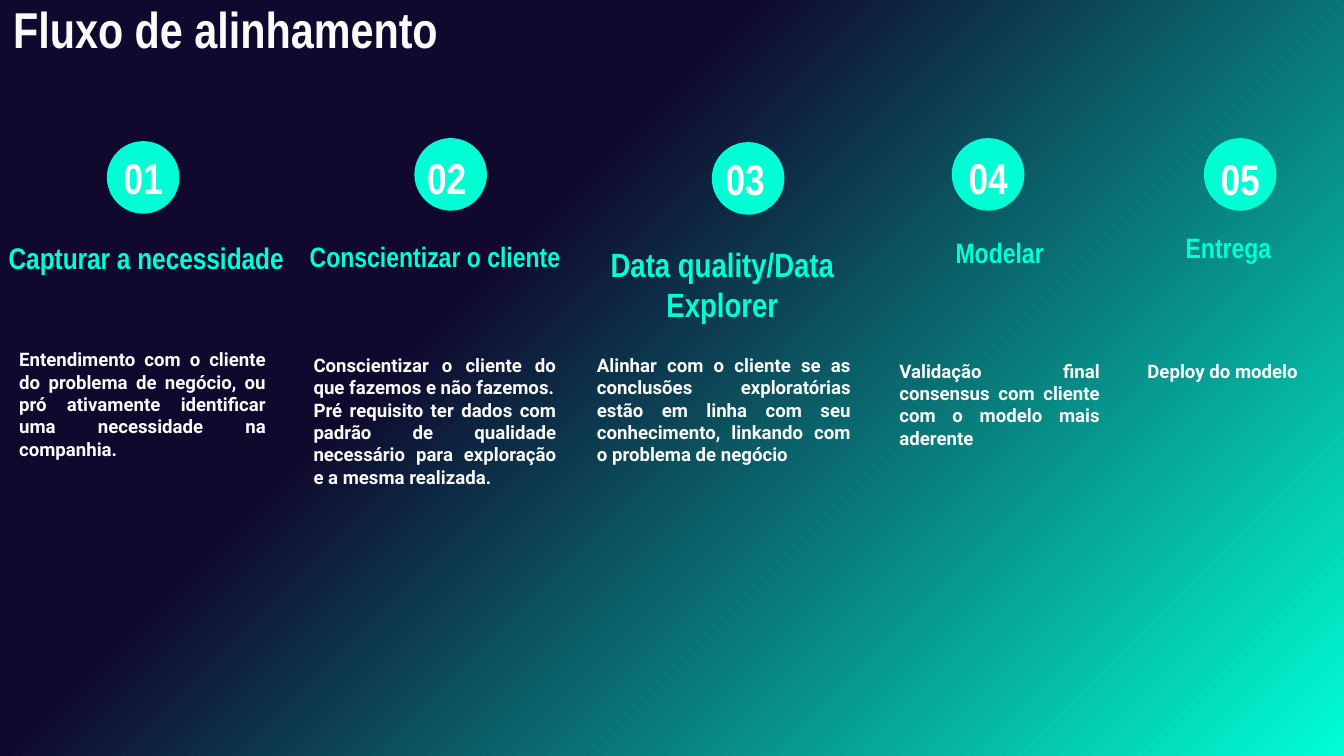
"""Build the slide "Fluxo de alinhamento" with its five numbered steps."""
import copy

import pptx
import pptx.dml.color
import pptx.enum.shapes
import pptx.enum.text
import pptx.oxml.ns
import pptx.util

Inches = pptx.util.Inches
RGBColor = pptx.dml.color.RGBColor
ALIGN = pptx.enum.text.PP_ALIGN
ANCHOR = pptx.enum.text.MSO_ANCHOR

NAVY = RGBColor(0x10, 0x09, 0x2D)
AQUA = RGBColor(0x00, 0xFF, 0xD5)
OFF_WHITE = RGBColor(0xFA, 0xFA, 0xFA)
WHITE = RGBColor(0xFF, 0xFF, 0xFF)
NARROW = "Arial Narrow"
DISC = 0.72

STEPS = [
    {"disc": (1.06, 1.4), "number": (1.06, 1.37),
     "heading": "Capturar a necessidade", "heading_box": (-0.21, 2.25, 3.32, 0.65),
     "heading_size": 21.3, "body_box": (0.06, 3.47, 2.71, 1.08), "anchor": ANCHOR.MIDDLE,
     "body": ["Entendimento com o cliente do problema de negócio, ou pró ativamente "
              "identificar uma necessidade na companhia."]},
    {"disc": (4.11, 1.37), "number": (4.07, 1.37),
     "heading": "Conscientizar o cliente", "heading_box": (2.77, 2.25, 3.09, 0.65),
     "heading_size": 20, "body_box": (2.98, 3.38, 2.67, 1.26), "anchor": ANCHOR.TOP,
     "body": ["Conscientizar o cliente do que fazemos e não fazemos.",
              "Pré requisito ter dados com padrão de qualidade necessário para "
              "exploração e a mesma realizada."]},
    {"disc": (7.06, 1.41), "number": (7.03, 1.38),
     "heading": "Data quality/Data Explorer", "heading_box": (5.58, 2.29, 3.17, 0.56),
     "heading_size": 24, "body_box": (5.79, 3.38, 2.78, 1.27), "anchor": ANCHOR.TOP,
     "body": ["Alinhar com o cliente se as conclusões exploratórias estão em linha com "
              "seu conhecimento, linkando com o problema de negócio"]},
    {"disc": (9.44, 1.37), "number": (9.44, 1.37),
     "heading": "Modelar", "heading_box": (8.58, 2.21, 2.67, 0.65),
     "heading_size": 20, "body_box": (8.79, 3.47, 2.25, 1.08), "anchor": ANCHOR.MIDDLE,
     "body": ["Validação final consensus com cliente com o modelo mais aderente"]},
    {"disc": (11.94, 1.37), "number": (11.94, 1.38),
     "heading": "Entrega", "heading_box": (10.85, 2.16, 2.67, 0.65),
     "heading_size": 20, "body_box": (11.25, 3.14, 2.25, 1.08), "anchor": ANCHOR.MIDDLE,
     "body": ["Deploy do modelo"]},
]

deck = pptx.Presentation()
deck.slide_width, deck.slide_height = Inches(13.33), Inches(7.5)
slide = deck.slides.add_slide(deck.slide_layouts[6])

backdrop = slide.background.fill
backdrop.gradient()
backdrop.gradient_angle = 315
for stop, color in zip(backdrop.gradient_stops, (NAVY, AQUA)):
    stop.color.rgb = color
navy_stop, aqua_stop = slide.element.iter(pptx.oxml.ns.qn("a:gs"))
navy_end = copy.deepcopy(navy_stop)
navy_stop.addnext(navy_end)
for stop, position in ((navy_stop, 0), (navy_end, 36000), (aqua_stop, 100000)):
    stop.set("pos", str(position))


def add_text(box, paragraphs, size, font, color, align, anchor=ANCHOR.TOP):
    frame = slide.shapes.add_textbox(*map(Inches, box)).text_frame
    margin = Inches(0.13)
    frame_format = {"word_wrap": True, "vertical_anchor": anchor,
                    "margin_left": margin, "margin_right": margin,
                    "margin_top": margin, "margin_bottom": margin}
    for name, value in frame_format.items():
        setattr(frame, name, value)
    frame.text = "\n".join(paragraphs)
    for paragraph in frame.paragraphs:
        paragraph.alignment = align
        for run in paragraph.runs:
            run_format = {"name": font, "size": pptx.util.Pt(size), "bold": True}
            for name, value in run_format.items():
                setattr(run.font, name, value)
            run.font.color.rgb = color


add_text((0, -0.15, 8.52, 0.82), ["Fluxo de alinhamento"], 36, NARROW, OFF_WHITE, ALIGN.LEFT)

for index, step in enumerate(STEPS, start=1):
    disc = slide.shapes.add_shape(pptx.enum.shapes.MSO_SHAPE.OVAL,
                                  *map(Inches, (*step["disc"], DISC, DISC)))
    disc.shadow.inherit = False
    disc.fill.solid()
    disc.fill.fore_color.rgb = AQUA
    disc.line.fill.background()
    add_text((*step["number"], DISC, 0.78), [f"{index:02}"], 30.7, NARROW, WHITE, ALIGN.CENTER)
    add_text(step["heading_box"], [step["heading"]], step["heading_size"],
             NARROW, AQUA, ALIGN.CENTER)
    add_text(step["body_box"], step["body"], 13.3, "Roboto", OFF_WHITE,
             ALIGN.JUSTIFY, step["anchor"])

deck.save("out.pptx")
